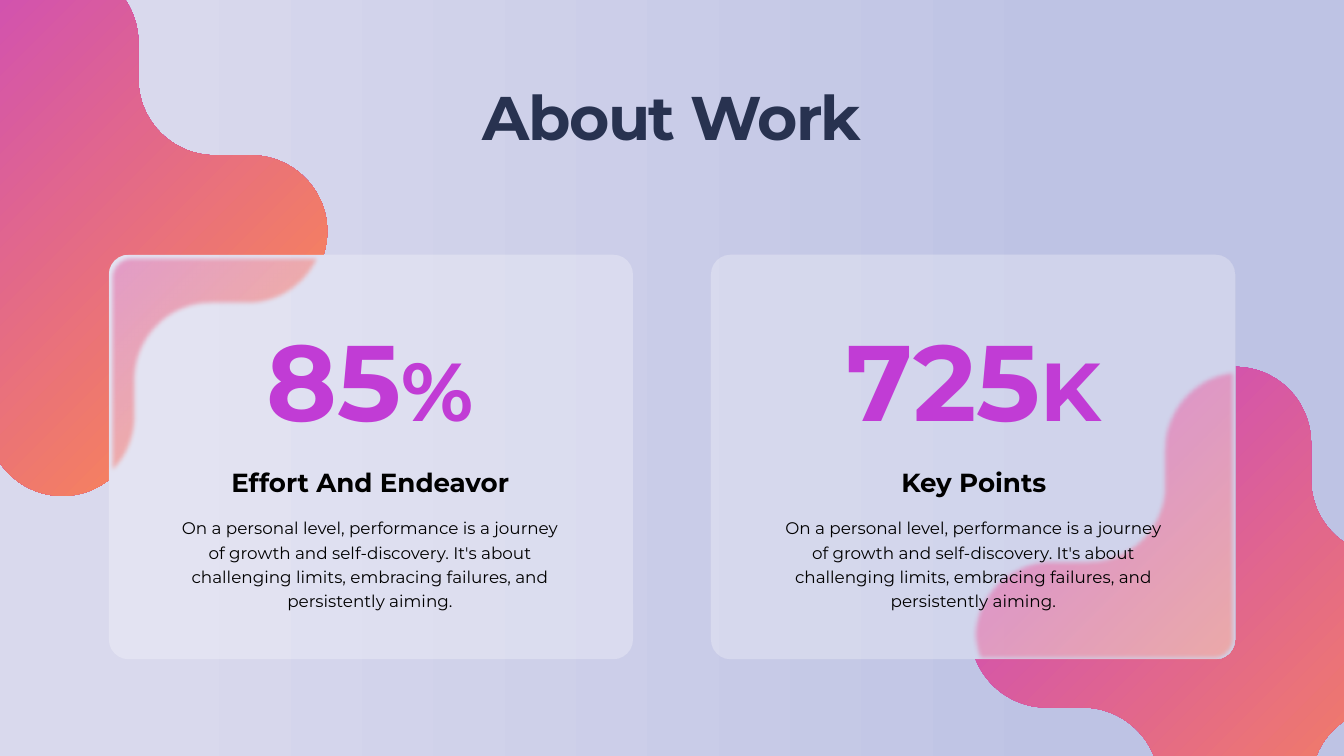
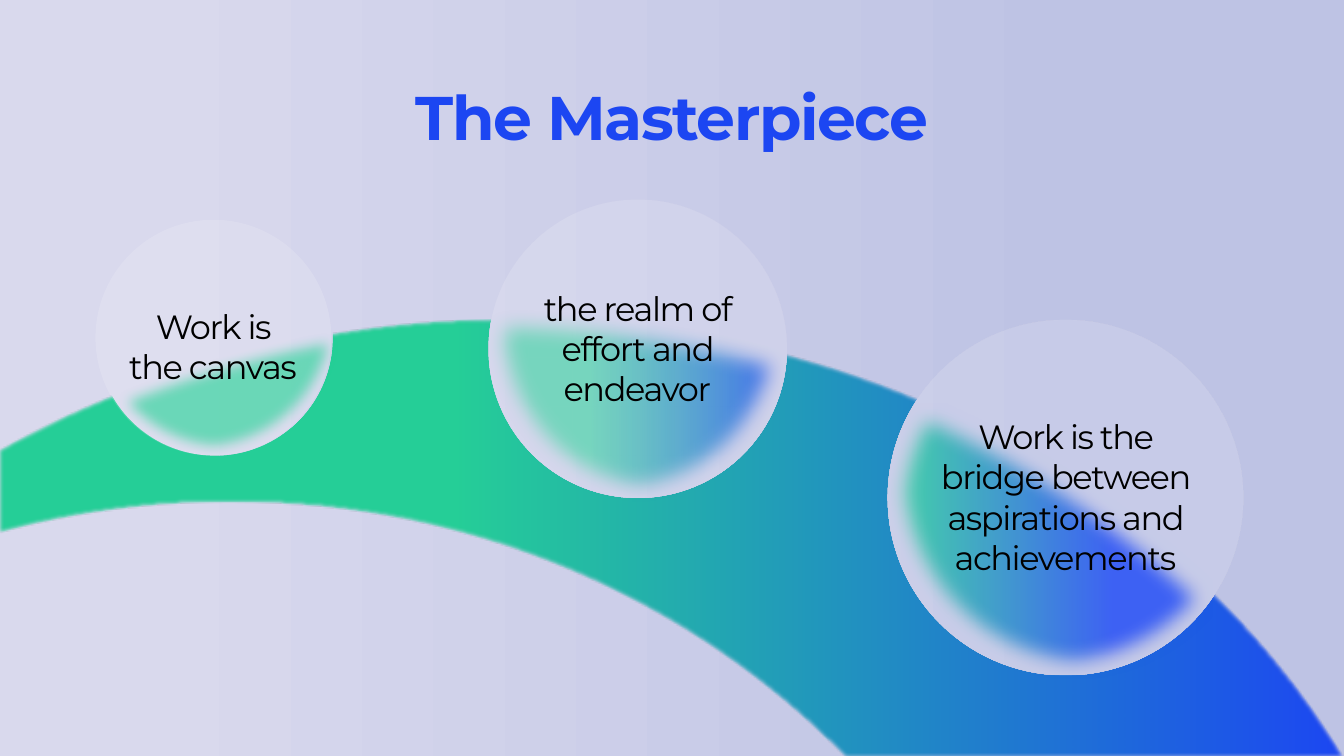
from math import cos, radians, sin

from lxml import etree
from pptx import Presentation
from pptx.dml.color import RGBColor
from pptx.enum.shapes import MSO_SHAPE
from pptx.enum.text import MSO_AUTO_SIZE, PP_ALIGN
from pptx.oxml.ns import qn
from pptx.util import Inches, Pt

ROUNDED, CIRCLE = MSO_SHAPE.ROUNDED_RECTANGLE, MSO_SHAPE.OVAL
CENTER = PP_ALIGN.CENTER
GROW = MSO_AUTO_SIZE.SHAPE_TO_FIT_TEXT

# Shared style
FONT = "Montserrat"
BLACK = RGBColor(0x00, 0x00, 0x00)
WHITE = RGBColor(0xFF, 0xFF, 0xFF)
NAVY = RGBColor(0x28, 0x32, 0x50)
MIST = RGBColor(0xD9, 0xD9, 0xED)
LAVENDER = RGBColor(0xBE, 0xC3, 0xE4)
ORANGE = RGBColor(0xF9, 0x86, 0x57)
PURPLE = RGBColor(0xC1, 0x3C, 0xD5)
GREEN = RGBColor(0x25, 0xCE, 0x97)
DARK_GREEN = RGBColor(0x1C, 0x9A, 0x71)
BLUE = RGBColor(0x1C, 0x46, 0xF2)

# Gradients: (position in percent, colour) for both ends
HAZE = ((11, MIST), (80, LAVENDER))
SUNSET = ((17, ORANGE), (100, PURPLE))
NUMBER_INK = ((11, PURPLE), (80, ORANGE))
TITLE_INK = ((11, BLUE), (80, DARK_GREEN))
LAGOON = ((34, GREEN), (100, BLUE))
DEEP_LAGOON = ((1, GREEN), (66, BLUE))

# Outlines: two numbers are a corner, six a Bezier curve
BLOB_CENTERS = [(18.38, 9.4), (0.93, 3.44)]
BLOB_QUARTER = [
    (0.63, -3.94, 1.13, -3.43, 1.13, -2.8), (1.13, -2.26),
    (1.13, -1.64, 1.64, -1.13, 2.26, -1.13), (2.8, -1.13),
    (3.43, -1.13, 3.94, -0.62, 3.94, 0),
]
WAVE = [
    (20, 11.28), (12.59, 11.28), (10.3, 8.94, 7.05, 7.48, 3.44, 7.48),
    (2.24, 7.48, 1.09, 7.64, -0.01, 7.94), (-0.01, 6.71),
    (2.18, 5.48, 4.8, 4.76, 7.6, 4.76), (13, 4.76, 17.69, 7.41, 20, 11.28),
]

# Cards
CARD_TOP, CARD_WIDTH, CARD_HEIGHT = 3.79, 7.8, 6.02
CARD_TEXT = ("On a personal level, performance is a journey of growth and "
             "self-discovery. It's about challenging limits, embracing "
             "failures, and persistently aiming.")
CARDS = [
    dict(left=1.62, middle=5.51, number="85", unit="%",
         heading="Effort And Endeavor", heading_width=4.43,
         glow=[(1.91, 3.79), (4.82, 3.79), (4.79, 3.88),
               (4.61, 4.29, 4.21, 4.57, 3.74, 4.57), (3.2, 4.57),
               (2.58, 4.57, 2.07, 5.08, 2.07, 5.71), (2.07, 6.24),
               (2.07, 6.6, 1.91, 6.91, 1.66, 7.12), (1.62, 7.15), (1.62, 4.09),
               (1.62, 3.92, 1.75, 3.79, 1.91, 3.79)]),
    dict(left=10.58, middle=14.49, number="725", unit="K",
         heading="Key Points", heading_width=2.92,
         glow=[(18.4, 5.48), (18.4, 9.54), (18.4, 9.7, 18.27, 9.84, 18.11, 9.84),
               (14.54, 9.84), (14.51, 9.76), (14.48, 9.65, 14.46, 9.54, 14.46, 9.42),
               (14.46, 8.8, 14.97, 8.29, 15.6, 8.29), (16.14, 8.29),
               (16.76, 8.29, 17.27, 7.78, 17.27, 7.15), (17.27, 6.62),
               (17.27, 5.99, 17.78, 5.48, 18.4, 5.48)]),
]

# Circles: base_left is for the backing, place is left, top, diameter,
# label is left, top, width, height
BUBBLES = [
    dict(text="Work is the canvas", base_left=1.44, place=(1.42, 3.27, 3.51),
         label=(1.81, 4.5, 2.72, 1.31), ink=GREEN, alphas=(75,), blur=0.2,
         glow=[(5.11, 4.85), (5.11, 4.9), (5.11, 5.97, 4.24, 6.83, 3.17, 6.83),
               (2.5, 6.83, 1.91, 6.49, 1.57, 5.98), (1.5, 5.87), (1.56, 5.85),
               (2.54, 5.45, 3.59, 5.14, 4.68, 4.93)]),
    dict(text="the realm of effort and endeavor", base_left=7.27, place=(7.27, 2.97, 4.44),
         label=(7.75, 4.23, 3.47, 1.92), ink=LAGOON, alphas=(65, 100), blur=0.3,
         glow=[(7.55, 4.59), (8.95, 4.59, 10.31, 4.78, 11.59, 5.12), (11.81, 5.18),
               (11.8, 5.31), (11.68, 6.55, 10.7, 7.51, 9.51, 7.51),
               (8.24, 7.51, 7.21, 6.42, 7.21, 5.06),
               (7.21, 4.98, 7.21, 4.9, 7.22, 4.81), (7.25, 4.6)]),
    dict(text="Work is the bridge between aspirations and achievements",
         base_left=13.21, place=(13.21, 4.76, 5.29), label=(13.69, 6.14, 4.33, 2.52),
         ink=DEEP_LAGOON, alphas=(100, 100), blur=0.3,
         glow=[(13.63, 5.79), (13.7, 5.82), (15.35, 6.51, 16.82, 7.47, 18.05, 8.62),
               (18.29, 8.85), (18.27, 8.88), (17.77, 9.62, 16.92, 10.11, 15.96, 10.11),
               (14.42, 10.11, 13.17, 8.86, 13.17, 7.32),
               (13.17, 6.84, 13.29, 6.39, 13.51, 6)]),
]


# Geometry
def turn(x, y, degrees):
    angle = radians(degrees)
    return x * cos(angle) - y * sin(angle), x * sin(angle) + y * cos(angle)


def turn_outline(outline, degrees):
    return [[turn(x, y, degrees) for x, y in zip(part[::2], part[1::2])] for part in outline]


def measure(parts, steps=24):
    """Return left, top, right, bottom of an outline, following its curves."""
    points = [parts[0][0]]
    for previous, part in zip(parts, parts[1:]):
        points.append(part[-1])
        if len(part) == 3:
            corners = [previous[-1], *part]
            for t in (step / steps for step in range(1, steps)):
                weights = ((1 - t) ** 3, 3 * t * (1 - t) ** 2, 3 * t * t * (1 - t), t ** 3)
                points.append([sum(weight * corner[axis] for weight, corner
                                   in zip(weights, corners)) for axis in (0, 1)])
    across, down = zip(*points)
    return min(across), min(down), max(across), max(down)


def blob_outline(center_x, center_y):
    parts = [[(0, -3.94)]]
    for degrees in range(0, 360, 90):
        parts += turn_outline(BLOB_QUARTER, degrees)
    return [[value for x, y in part for value in (center_x + x, center_y + y)]
            for part in parts]


# Paint
def paint(fill, ink):
    if isinstance(ink, RGBColor):
        fill.solid()
        fill.fore_color.rgb = ink
        return
    fill.gradient()
    fill.gradient_angle = 0
    for stop, (position, color) in zip(fill.gradient_stops, ink):
        stop.position = position / 100
        stop.color.rgb = color


def set_alphas(shape, alphas):
    for color, alpha in zip(shape._element.spPr.iter(qn("a:srgbClr")), alphas):
        if alpha < 100:
            etree.SubElement(color, qn("a:alpha"), val=str(alpha * 1000))


def radiate(shape):
    """Let the gradient spread in circles from the lower right corner."""
    gradient = shape._element.spPr.find(qn("a:gradFill"))
    gradient.remove(gradient.find(qn("a:lin")))
    circle = etree.SubElement(gradient, qn("a:path"), path="circle")
    etree.SubElement(circle, qn("a:fillToRect"), l="100000", t="100000")


def soften(shape, radius):
    effects = shape._element.spPr.find(qn("a:effectLst"))
    etree.SubElement(effects, qn("a:softEdge"), rad=str(Inches(radius)))


# Parts
def add_outline(shapes, outline, ink, alphas=(), rotation=0):
    parts = turn_outline(outline, -rotation)
    left, top, right, bottom = measure(parts)
    width, height = Inches(right - left), Inches(bottom - top)
    builder = shapes.build_freeform(0, 0)
    builder.add_line_segments([(width, 0), (width, height)])
    shape = builder.convert_to_shape()

    # Draw the true curves inside the freeform's frame
    drawing = shape._element.spPr.find(".//" + qn("a:path"))
    for segment in list(drawing):
        drawing.remove(segment)
    tags = {1: "a:lnTo", 3: "a:cubicBezTo"}
    for index, part in enumerate(parts):
        segment = etree.SubElement(drawing, qn(tags[len(part)] if index else "a:moveTo"))
        for x, y in part:
            etree.SubElement(segment, qn("a:pt"), x=str(Inches(x - left)), y=str(Inches(y - top)))
    etree.SubElement(drawing, qn("a:close"))

    middle_x, middle_y = turn((left + right) / 2, (top + bottom) / 2, rotation)
    shape.left = Inches(middle_x) - width // 2
    shape.top = Inches(middle_y) - height // 2
    shape.rotation = rotation
    shape.shadow.inherit = False
    shape.line.fill.background()
    paint(shape.fill, ink)
    set_alphas(shape, alphas)
    return shape


def add_panel(shapes, kind, place):
    panel = shapes.add_shape(kind, *map(Inches, place))
    panel.shadow.inherit = False
    if kind == ROUNDED:
        panel.adjustments[0] = 0.049
    panel.line.fill.background()
    return panel


def add_backing(shapes, kind, place):
    """Add a panel that shows the page background."""
    add_panel(shapes, kind, place)._element.set("useBgFill", "1")


def add_glass(shapes, kind, place, alpha):
    glass = add_panel(shapes, kind, place)
    paint(glass.fill, WHITE)
    paint(glass.line.fill, WHITE)
    glass.line.width = Pt(1.5)
    set_alphas(glass, (alpha, 2))


def add_text(page, place, spans, size, ink=BLACK, bold=False, tracking=0, leading=None):
    """Write centred spans of (text, own size or None)."""
    box = page.shapes.add_textbox(*map(Inches, place))
    box.text_frame.word_wrap = True
    box.text_frame.auto_size = GROW
    para = box.text_frame.paragraphs[0]
    para.alignment = CENTER
    if leading:
        para.line_spacing = leading
    font = para.font
    font.name, font.size, font.bold = FONT, Pt(size), bold
    paint(font.fill, ink)
    if tracking:
        para._p.pPr.find(qn("a:defRPr")).set("spc", str(int(tracking * 100)))
    for text, own_size in spans:
        span = para.add_run()
        span.text = text
        if own_size:
            span.font.size = Pt(own_size)


def add_page(deck):
    page = deck.slides.add_slide(deck.slide_layouts[6])
    paint(page.background.fill, HAZE)
    return page


def add_title(page, text, ink):
    add_text(page, (2.54, 1.12, 14.92, 1.21), [(text, None)], 66, ink, True, -1.5)


def build_about(deck):
    page = add_page(deck)
    for center in BLOB_CENTERS:
        radiate(add_outline(page.shapes, blob_outline(*center), SUNSET, rotation=45))
    add_title(page, "About Work", NAVY)
    for card in CARDS:
        place = (card["left"], CARD_TOP, CARD_WIDTH, CARD_HEIGHT)
        shapes = page.shapes.add_group_shape().shapes
        add_backing(shapes, ROUNDED, place)
        glow = add_outline(shapes, card["glow"], SUNSET, (78, 78), 45)
        radiate(glow)
        soften(glow, 0.07)
        add_glass(shapes, ROUNDED, place, 28)
    for card in reversed(CARDS):
        middle, width = card["middle"], card["heading_width"]
        add_text(page, (middle - 2.63, 4.62, 5.26, 2.04),
                 [(card["number"], None), (card["unit"], 88)], 115, NUMBER_INK, True)
        add_text(page, (middle - width / 2, 6.89, width, 0.57),
                 [(card["heading"], None)], 28, bold=True)
        add_text(page, (middle - 2.97, 7.6, 5.93, 1.56), [(CARD_TEXT, None)], 18, leading=1.2)


def build_masterpiece(deck):
    page = add_page(deck)
    soften(add_outline(page.shapes, WAVE, LAGOON), 0.03)
    add_title(page, "The Masterpiece", TITLE_INK)
    for bubble in BUBBLES:
        left, top, diameter = bubble["place"]
        shapes = page.shapes.add_group_shape().shapes
        add_backing(shapes, CIRCLE, (bubble["base_left"], top, diameter, diameter))
        glow = add_outline(shapes, bubble["glow"], bubble["ink"], bubble["alphas"])
        soften(glow, bubble["blur"])
        add_glass(shapes, CIRCLE, (left, top, diameter, diameter), 15)
    for bubble in BUBBLES:
        add_text(page, bubble["label"], [(bubble["text"], None)], 36, tracking=-1.5)


def main():
    deck = Presentation()
    deck.slide_width, deck.slide_height = Inches(20), Inches(11.25)
    build_about(deck)
    build_masterpiece(deck)
    deck.save("out.pptx")


if __name__ == "__main__":
    main()
